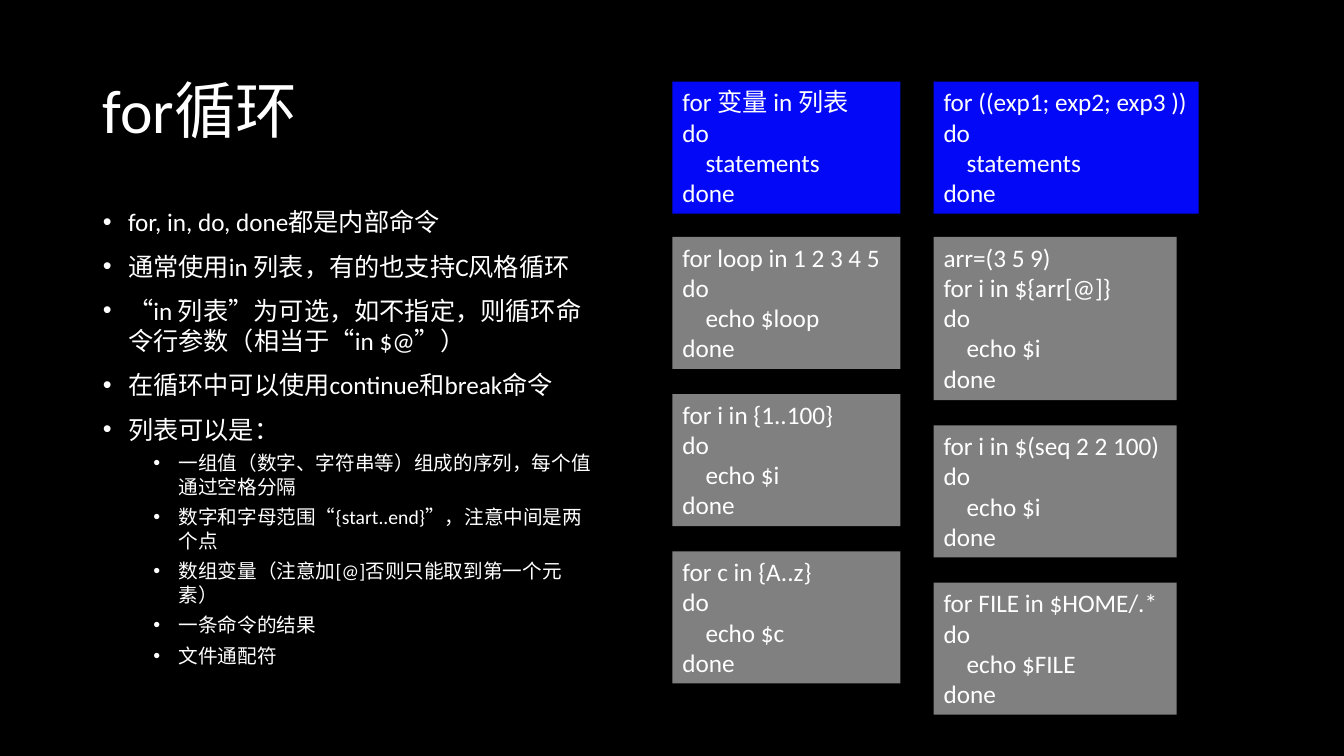
import pptx
import pptx.util
import pptx.dml.color
import pptx.enum.shapes
import pptx.enum.text
import lxml.etree

Inches = pptx.util.Inches
Pt = pptx.util.Pt

# Content
BLACK, WHITE, BLUE, GRAY = "000000", "FFFFFF", "0309F7", "808080"
TITLE = "for循环"
BULLETS = [
    (0, "for, in, do, done都是内部命令"),
    (0, "通常使用in 列表，有的也支持C风格循环"),
    (0, "“in 列表”为可选，如不指定，则循环命令行参数（相当于“in $@”）"),
    (0, "在循环中可以使用continue和break命令"),
    (0, "列表可以是："),
    (1, "一组值（数字、字符串等）组成的序列，每个值通过空格分隔"),
    (1, "数字和字母范围“{start..end}”，注意中间是两个点"),
    (1, "数组变量（注意加[@]否则只能取到第一个元素）"),
    (1, "一条命令的结果"),
    (1, "文件通配符"),
]
# Each loop: lines before the body, then the indented body line
COLUMNS = [
    {"left": 6.67, "syntax_width": 2.26, "example_width": 2.26, "loops": [
        (["for 变量 in 列表", "do"], "statements"),
        (["for loop in 1 2 3 4 5", "do"], "echo $loop"),
        (["for i in {1..100}", "do"], "echo $i"),
        (["for c in {A..z}", "do"], "echo $c"),
    ]},
    {"left": 9.26, "syntax_width": 2.63, "example_width": 2.41, "loops": [
        (["for ((exp1; exp2; exp3 ))", "do"], "statements"),
        (["arr=(3 5 9)", "for i in ${arr[@]}", "do"], "echo $i"),
        (["for i in $(seq 2 2 100)", "do"], "echo $i"),
        (["for FILE in $HOME/.*", "do"], "echo $FILE"),
    ]},
]
SYNTAX_TOP, EXAMPLES_TOP, GAP = 0.81, 2.35, 0.25
LINE_HEIGHT, EXTRA_HEIGHT = 0.31, 0.07
CODE_INDENT = 0.23
LEVELS = [
    {"size": 18, "before": 10, "margin": 0.25},
    {"size": 14, "before": 5, "margin": 0.75},
]


def rgb(value):
    return pptx.dml.color.RGBColor.from_string(value)


def fill(target, value):
    target.fill.solid()
    target.fill.fore_color.rgb = rgb(value)


def write(p, text, size):
    p.alignment = pptx.enum.text.PP_ALIGN.LEFT
    r = p.add_run()
    r.text = text
    for name, value in {"name": "Calibri", "size": Pt(size)}.items():
        setattr(r.font, name, value)
    r.font.color.rgb = rgb(WHITE)


def indent(p, margin, first=0):
    pPr = p._p.get_or_add_pPr()
    pPr.set("marL", str(Inches(margin)))
    pPr.set("indent", str(Inches(first)))
    return pPr


def bullet(p, margin):
    pPr = indent(p, margin, -0.25)
    ns = "{http://schemas.openxmlformats.org/drawingml/2006/main}"
    lxml.etree.SubElement(pPr, ns + "buFont").set("typeface", "Arial")
    lxml.etree.SubElement(pPr, ns + "buChar").set("char", "•")


def place(sp, left, top, width, height, anchor):
    box = {"left": left, "top": top, "width": width, "height": height}
    for name, value in box.items():
        setattr(sp, name, Inches(value))
    tf = sp.text_frame
    frame = {"word_wrap": True, "vertical_anchor": anchor,
             "auto_size": pptx.enum.text.MSO_AUTO_SIZE.NONE}
    for name, value in frame.items():
        setattr(tf, name, value)
    return tf


def paragraphs(tf, count):
    return [tf.paragraphs[0]] + [tf.add_paragraph() for _ in range(count - 1)]


def code_box(s, left, top, width, height, color, head, body):
    sp = s.shapes.add_shape(pptx.enum.shapes.MSO_SHAPE.RECTANGLE, 0, 0, 0, 0)
    tf = place(sp, left, top, width, height, pptx.enum.text.MSO_ANCHOR.TOP)
    sp.shadow.inherit = False
    sp.line.fill.background()
    fill(sp, color)
    lines = head + [body, "done"]
    for p, line in zip(paragraphs(tf, len(lines)), lines):
        write(p, line, 18)
        if line == body:
            indent(p, CODE_INDENT)


def main():
    prs = pptx.Presentation()
    prs.slide_width, prs.slide_height = Inches(13.33), Inches(7.5)
    s = prs.slides.add_slide(prs.slide_layouts[1])
    fill(s.background, BLACK)
    anchors = pptx.enum.text.MSO_ANCHOR

    # Title
    tf = place(s.shapes.title, 0.92, 0.4, 11.5, 1.45, anchors.MIDDLE)
    tf.paragraphs[0].line_spacing = 0.9
    write(tf.paragraphs[0], TITLE, 44)

    # Bullet list
    tf = place(s.placeholders[1], 0.92, 2, 5.1, 4.76, anchors.TOP)
    for p, (level, text) in zip(paragraphs(tf, len(BULLETS)), BULLETS):
        style = LEVELS[level]
        p.level = level
        p.space_before = Pt(style["before"])
        bullet(p, style["margin"])
        write(p, text, style["size"])

    # Code columns: syntax on top, examples stacked below
    for column in COLUMNS:
        top = EXAMPLES_TOP
        for i, (head, body) in enumerate(column["loops"]):
            height = LINE_HEIGHT * (len(head) + 2) + EXTRA_HEIGHT
            if i == 0:
                code_box(s, column["left"], SYNTAX_TOP, column["syntax_width"],
                         height, BLUE, head, body)
            else:
                code_box(s, column["left"], top, column["example_width"],
                         height, GRAY, head, body)
                top += height + GAP

    prs.save("out.pptx")


if __name__ == "__main__":
    main()
